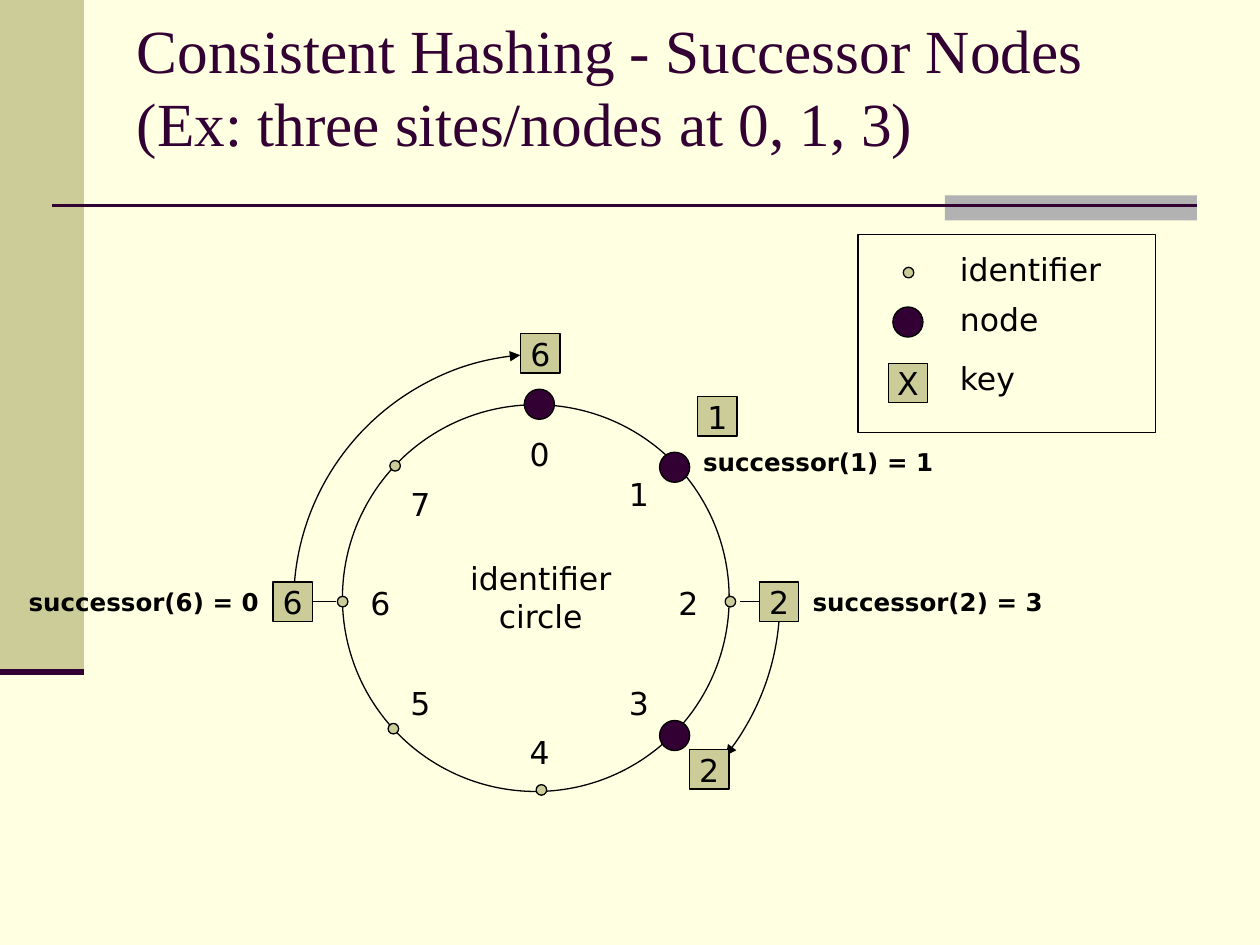
from dataclasses import dataclass
from typing import NamedTuple

from lxml import etree
from pptx import Presentation
from pptx import util as u
from pptx.dml.color import RGBColor
from pptx.enum import shapes, text
from pptx.oxml import ns


@dataclass(frozen=True)
class Theme:
    paper: str = "FFFFE1"
    sand: str = "CCCC99"
    plum: str = "330033"
    gray: str = "B2B2B2"
    ink: str = "000000"
    title_font: str = "Times New Roman"
    body_font: str = "DejaVu Sans"
    title_size: float = 35
    body_size: float = 18
    note_size: float = 14
    hairline: float = 0.75


class Point(NamedTuple):
    x: float
    y: float


class Identifier(NamedTuple):
    label: str
    mark: Point
    label_at: Point
    is_node: bool = False


class Key(NamedTuple):
    label: str
    center: Point


class Note(NamedTuple):
    label: str
    center: Point


class Arc(NamedTuple):
    center: Point
    start: float
    end: float


THEME = Theme()
KEY_SIZE, NODE_SIZE, DOT_SIZE = 22.5, 17.2, 6
ROW_Y = 343.8
ARC_RADIUS = 141.8
RING_CENTER, RING_SIZE = Point(306.2, 341.8), 221

IDENTIFIERS = [
    Identifier("0", Point(308.2, 231), Point(308.4, 259.4), True),
    Identifier("1", Point(385.5, 267), Point(365, 282.2), True),
    Identifier("2", Point(417.4, ROW_Y), Point(393.4, 344.5)),
    Identifier("3", Point(385.5, 420.3), Point(365, 401.5), True),
    Identifier("4", Point(309.4, 451.4), Point(308.4, 429.5)),
    Identifier("5", Point(224.8, 416.4), Point(240.2, 401.5)),
    Identifier("6", Point(195.8, ROW_Y), Point(217.4, 344.5)),
    Identifier("7", Point(225.8, 266.2), Point(240.2, 287.8)),
]
PLACED_KEYS = [
    Key("6", Point(308.8, 202)),
    Key("1", Point(410, 238)),
    Key("2", Point(405.3, 439.7)),
]
LEFT_KEY = Key("6", Point(167.2, ROW_Y))
RIGHT_KEY = Key("2", Point(445.2, ROW_Y))
ARCS = [
    Arc(Point(309.6, 344.2), 180, 265),
    Arc(Point(303.8, 343.4), 0, 38.5),
]
NOTES = [
    Note("successor(1) = 1", Point(467.6, 264)),
    Note("successor(2) = 3", Point(530.2, ROW_Y)),
    Note("successor(6) = 0", Point(82.2, ROW_Y)),
]


def color(code: str) -> RGBColor:
    return RGBColor.from_string(code)


def add_shape(slide, kind, left, top, width, height, fill=None, outline=THEME.ink):
    shape = slide.shapes.add_shape(
        kind, u.Pt(left), u.Pt(top), u.Pt(width), u.Pt(height))
    shape.shadow.inherit = False
    if fill:
        shape.fill.solid()
        shape.fill.fore_color.rgb = color(fill)
    else:
        shape.fill.background()
    if outline:
        shape.line.color.rgb = color(outline)
        shape.line.width = u.Pt(THEME.hairline)
    else:
        shape.line.fill.background()
    return shape


def add_centered(slide, kind, center: Point, size: float, fill=None):
    return add_shape(slide, kind, center.x - size / 2, center.y - size / 2,
                     size, size, fill)


def add_dot(slide, center: Point):
    return add_centered(slide, shapes.MSO_SHAPE.OVAL, center, DOT_SIZE, THEME.sand)


def add_node(slide, center: Point):
    return add_centered(slide, shapes.MSO_SHAPE.OVAL, center, NODE_SIZE, THEME.plum)


def set_text(shape, words: str, size=THEME.body_size, font=THEME.body_font,
             ink=THEME.ink, bold=False, align=text.PP_ALIGN.CENTER, wrap=False,
             anchor=text.MSO_ANCHOR.MIDDLE):
    frame = shape.text_frame
    frame.text = words
    frame.word_wrap = wrap
    frame.vertical_anchor = anchor
    for paragraph in frame.paragraphs:
        paragraph.alignment = align
        for run in paragraph.runs:
            run.font.name, run.font.size, run.font.bold = font, u.Pt(size), bold
            run.font.color.rgb = color(ink)


def add_label(slide, words: str, center: Point, width=32, height=22, **style):
    box = slide.shapes.add_textbox(
        u.Pt(center.x - width / 2), u.Pt(center.y - height / 2),
        u.Pt(width), u.Pt(height))
    set_text(box, words, **style)


def add_key(slide, key: Key):
    square = add_centered(slide, shapes.MSO_SHAPE.RECTANGLE, key.center,
                          KEY_SIZE, THEME.sand)
    set_text(square, key.label)
    return square


def add_line(slide, start: Point, end: Point, ink=THEME.ink, width=THEME.hairline):
    line = slide.shapes.add_connector(
        shapes.MSO_CONNECTOR.STRAIGHT,
        u.Pt(start.x), u.Pt(start.y), u.Pt(end.x), u.Pt(end.y))
    line.line.color.rgb = color(ink)
    line.line.width = u.Pt(width)
    etree.SubElement(line._element.spPr, ns.qn("a:effectLst"))
    return line


def add_arc(slide, arc: Arc):
    curve = add_centered(slide, shapes.MSO_SHAPE.ARC, arc.center, 2 * ARC_RADIUS)
    curve.adjustments[0] = arc.start * 0.6
    curve.adjustments[1] = arc.end * 0.6
    etree.SubElement(curve.line._get_or_add_ln(), ns.qn("a:tailEnd"), type="triangle")


def add_frame(slide):
    rect = shapes.MSO_SHAPE.RECTANGLE
    add_shape(slide, rect, 0, 0, 48, 384, THEME.sand, None)
    add_shape(slide, rect, 540, 111.6, 144, 14.4, THEME.gray, None)
    add_line(slide, Point(30, 117.5), Point(684, 117.5), THEME.plum, 1.5)
    add_line(slide, Point(0, 384), Point(48, 384), THEME.plum, 3.5)
    add_label(
        slide, "Consistent Hashing - Successor Nodes\v(Ex: three sites/nodes at 0, 1, 3)",
        Point(377.5, 59), 613, 70.6, size=THEME.title_size, font=THEME.title_font,
        ink=THEME.plum, align=text.PP_ALIGN.LEFT, wrap=True,
        anchor=text.MSO_ANCHOR.BOTTOM)


def add_ring(slide):
    for arc in ARCS:
        add_arc(slide, arc)
    add_centered(slide, shapes.MSO_SHAPE.OVAL, RING_CENTER, RING_SIZE)
    for identifier in IDENTIFIERS:
        add_label(slide, identifier.label, identifier.label_at)
        (add_node if identifier.is_node else add_dot)(slide, identifier.mark)
    add_label(slide, "identifier\ncircle", Point(309, 341), 120, 51)
    for key in PLACED_KEYS:
        add_key(slide, key)
    for key, side, end_x in ((LEFT_KEY, 3, 192.2), (RIGHT_KEY, 1, 422.6)):
        square = add_key(slide, key)
        link = add_line(slide, key.center, Point(end_x, ROW_Y))
        link.begin_connect(square, side)
    for note in NOTES:
        add_label(slide, note.label, note.center, 160, size=THEME.note_size, bold=True)


def add_legend(slide):
    add_shape(slide, shapes.MSO_SHAPE.RECTANGLE, 490.3, 134, 170, 113.2)
    add_dot(slide, Point(519.2, 155.8))
    add_node(slide, Point(518.8, 184))
    add_key(slide, Key("X", Point(518.8, 219)))
    for words, y in (("identifier", 153.6), ("node", 182), ("key", 215.8)):
        add_label(slide, words, Point(596.4, y), 110,
                  align=text.PP_ALIGN.LEFT, wrap=True)


def main():
    deck = Presentation()
    deck.slide_width, deck.slide_height = u.Pt(720), u.Pt(540)
    slide = deck.slides.add_slide(deck.slide_layouts[6])
    slide.background.fill.solid()
    slide.background.fill.fore_color.rgb = color(THEME.paper)
    add_frame(slide)
    add_ring(slide)
    add_legend(slide)
    deck.save("out.pptx")


if __name__ == "__main__":
    main()
